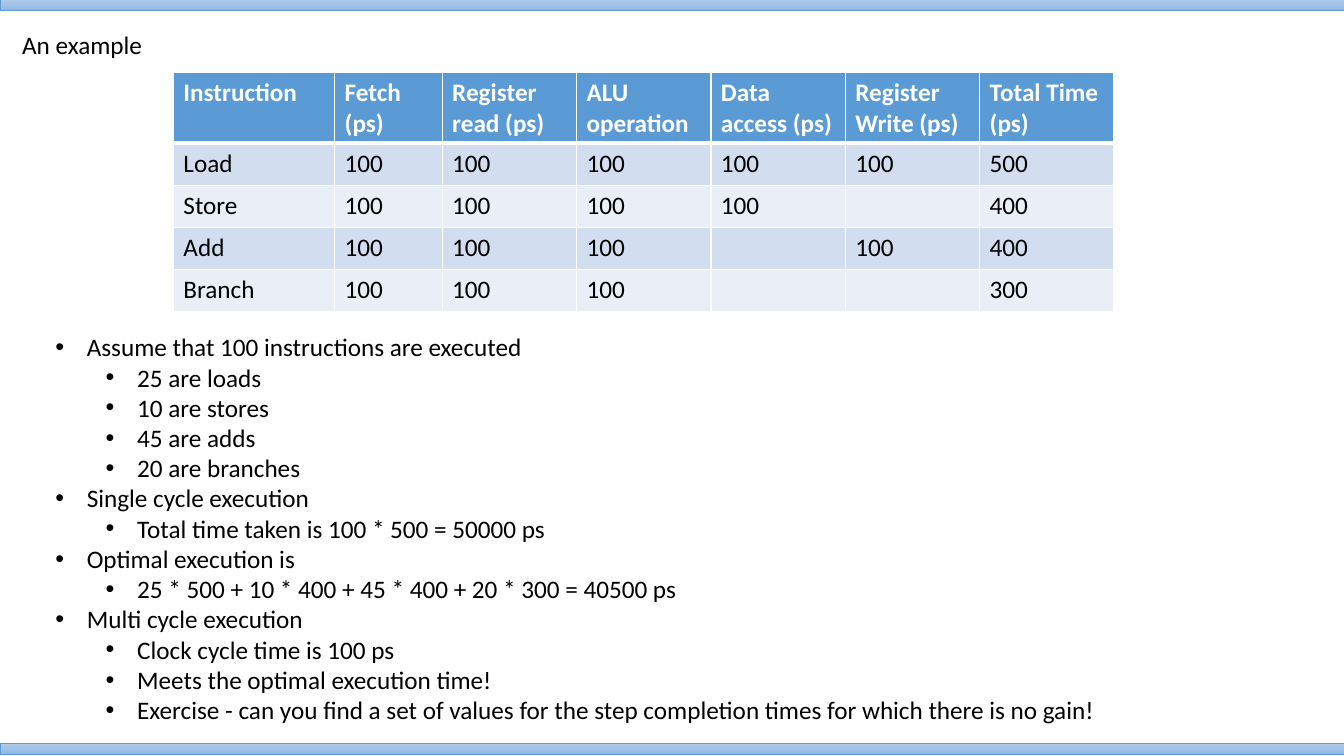
from lxml.etree import SubElement
from pptx import Presentation
from pptx.dml.color import RGBColor
from pptx.enum.shapes import MSO_SHAPE
from pptx.enum.text import MSO_ANCHOR, MSO_AUTO_SIZE, PP_ALIGN
from pptx.oxml.ns import qn
from pptx.util import Pt

# Content
TITLE = "An example"
TIMINGS = [
    ["Instruction", "Fetch (ps)", "Register read (ps)", "ALU operation",
     "Data access (ps)", "Register Write (ps)", "Total Time (ps)"],
    ["Load", "100", "100", "100", "100", "100", "500"],
    ["Store", "100", "100", "100", "100", "", "400"],
    ["Add", "100", "100", "100", "", "100", "400"],
    ["Branch", "100", "100", "100", "", "", "300"],
]
POINTS = [
    ("Assume that 100 instructions are executed",
     ["25 are loads", "10 are stores", "45 are adds", "20 are branches"]),
    ("Single cycle execution",
     ["Total time taken is 100 * 500 = 50000 ps"]),
    ("Optimal execution is",
     ["25 * 500 + 10 * 400 + 45 * 400 + 20 * 300 = 40500 ps"]),
    ("Multi cycle execution",
     ["Clock cycle time is 100 ps",
      "Meets the optimal execution time!",
      "Exercise - can you find a set of values for the step completion times "
      "for which there is no gain!"]),
]

# Theme and layout, lengths in points
THEME = {
    "font": "Calibri", "size": 18, "text": "000000", "white": "FFFFFF",
    "header": "5B9BD5", "bands": ["D2DEEF", "EAEFF7"],
    "bar": ["B1CBE9", "93B9E4"], "bar_line": "5B9BD5",
}
WIDTH, HEIGHT = 960, 540
BAR_HEIGHT = 7.92
TITLE_BOX = (8.64, 17.28, 884.16, 30.24)
POINTS_BOX = (32.4, 233.28, 879.12, 289.44)
TABLE_LEFT, TABLE_TOP = 123.84, 51.84
COLUMN_WIDTHS = [115.2, 76.8] + [96] * 5
ROW_HEIGHTS = [50.4] + [30] * 4
HANG, LEVEL_STEP = 22.5, 36


def color(name):
    return RGBColor.from_string(name)


def write(paragraph, text, ink=THEME["text"], bold=False):
    run = paragraph.add_run()
    run.text = text
    formats = {"name": THEME["font"], "size": Pt(THEME["size"]), "bold": bold}
    for key, value in formats.items():
        setattr(run.font, key, value)
    run.font.color.rgb = color(ink)


def add_bar(slide, top):
    bar = slide.shapes.add_shape(MSO_SHAPE.RECTANGLE, 0, Pt(top),
                                 Pt(WIDTH), Pt(BAR_HEIGHT))
    bar.shadow.inherit = False
    bar.fill.gradient()
    bar.fill.gradient_angle = 270
    for stop, shade in zip(bar.fill.gradient_stops, THEME["bar"]):
        stop.color.rgb = color(shade)
    bar.line.color.rgb = color(THEME["bar_line"])
    bar.line.width = Pt(0.5)


def add_title(slide):
    title = slide.shapes.title
    for key, value in zip(("left", "top", "width", "height"), TITLE_BOX):
        setattr(title, key, Pt(value))
    frame = title.text_frame
    formats = {"word_wrap": True, "vertical_anchor": MSO_ANCHOR.TOP,
               "auto_size": MSO_AUTO_SIZE.NONE}
    for key, value in formats.items():
        setattr(frame, key, value)
    frame.paragraphs[0].alignment = PP_ALIGN.LEFT
    write(frame.paragraphs[0], TITLE)


def set_borders(cell, bottom):
    properties = cell._tc.get_or_add_tcPr()
    for side, weight in (("L", 1), ("R", 1), ("T", 1), ("B", bottom)):
        line = SubElement(properties, qn(f"a:ln{side}"), w=str(Pt(weight)))
        fill = SubElement(line, qn("a:solidFill"))
        SubElement(fill, qn("a:srgbClr"), val=THEME["white"])


def add_timings(slide):
    table = slide.shapes.add_table(
        len(TIMINGS), len(COLUMN_WIDTHS), Pt(TABLE_LEFT), Pt(TABLE_TOP),
        Pt(sum(COLUMN_WIDTHS)), Pt(sum(ROW_HEIGHTS))).table
    for column, width in zip(table.columns, COLUMN_WIDTHS):
        column.width = Pt(width)
    for r, (row, height) in enumerate(zip(table.rows, ROW_HEIGHTS)):
        row.height = Pt(height)
        is_header = r == 0
        shade = THEME["header"] if is_header else THEME["bands"][(r - 1) % 2]
        ink = THEME["white"] if is_header else THEME["text"]
        for cell, text in zip(row.cells, TIMINGS[r]):
            if is_header:
                set_borders(cell, bottom=3)
            cell.fill.solid()
            cell.fill.fore_color.rgb = color(shade)
            if text:
                write(cell.text_frame.paragraphs[0], text, ink, is_header)


def add_points(slide):
    frame = slide.shapes.add_textbox(*map(Pt, POINTS_BOX)).text_frame
    frame.word_wrap = True
    lines = [(level, text) for point, details in POINTS
             for level, text in [(0, point)] + [(1, d) for d in details]]
    for i, (level, text) in enumerate(lines):
        paragraph = frame.add_paragraph() if i else frame.paragraphs[0]
        paragraph.level = level
        properties = paragraph._p.get_or_add_pPr()
        properties.set("marL", str(Pt(HANG + level * LEVEL_STEP)))
        properties.set("indent", str(-Pt(HANG)))
        SubElement(properties, qn("a:buFont"), typeface="Arial")
        SubElement(properties, qn("a:buChar"), char="•")
        write(paragraph, text)


def main():
    deck = Presentation()
    deck.slide_width, deck.slide_height = Pt(WIDTH), Pt(HEIGHT)
    slide = deck.slides.add_slide(deck.slide_layouts[5])

    # Bars at the top and bottom edges
    for top in (-0.72, 530.64):
        add_bar(slide, top)

    # Heading, timing table and worked example
    add_title(slide)
    add_points(slide)
    add_timings(slide)
    deck.save("out.pptx")


if __name__ == "__main__":
    main()
